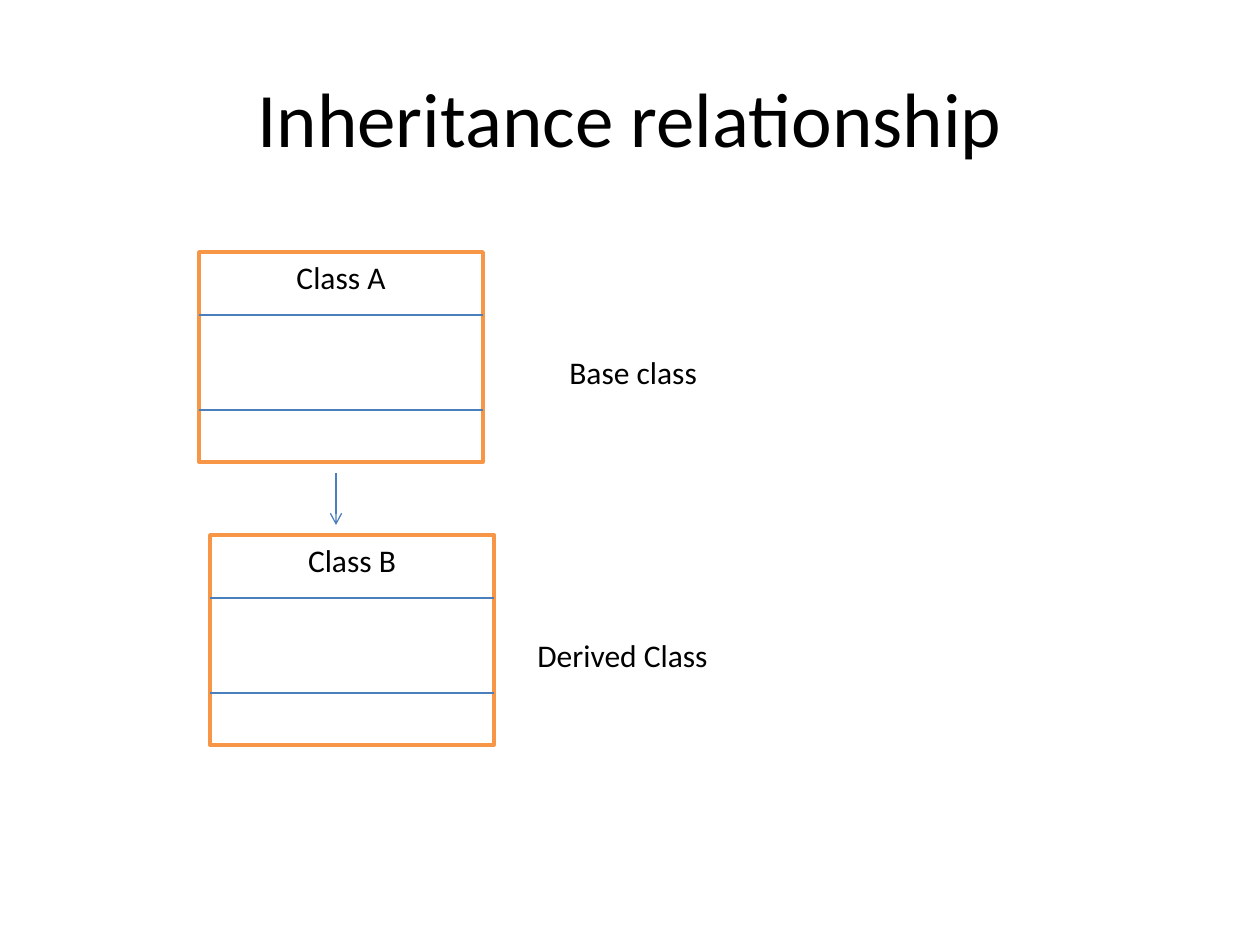
"""Builds a slide that shows a base class and a class derived from it."""
import pptx
import pptx.dml.color
import pptx.enum.shapes
import pptx.enum.text
import pptx.oxml
import pptx.oxml.ns
import pptx.util

HUES = {"ink": "000000", "paper": "FFFFFF", "edge": "F79646", "rule": "4B7EBC"}
ALIGN = pptx.enum.text.PP_ALIGN
ANCHOR = pptx.enum.text.MSO_ANCHOR


def px(count):
    """Turn pixels into EMU."""
    return pptx.util.Emu(round(count * 914400 / 126))


def hue(name):
    """Look up a colour by name."""
    return pptx.dml.color.RGBColor.from_string(HUES[name])


def write(shape, text, size=18, align=ALIGN.LEFT, anchor=ANCHOR.TOP, wrap=True):
    """Put formatted text into a shape."""
    frame = shape.text_frame
    frame.word_wrap = wrap
    frame.vertical_anchor = anchor
    para = frame.paragraphs[0]
    para.alignment = align
    run = para.add_run()
    run.text = text
    run.font.name = "Calibri"
    run.font.size = pptx.util.Pt(size)
    run.font.color.rgb = hue("ink")


def draw_line(slide, left, top, right, base, head=False):
    """Draw a thin line, with an open arrowhead at its end if asked."""
    line = slide.shapes.add_connector(
        pptx.enum.shapes.MSO_CONNECTOR.STRAIGHT, px(left), px(top), px(right), px(base))
    line.line.color.rgb = hue("rule")
    line.line.width = pptx.util.Pt(0.75)
    props = line._element.spPr
    pptx.oxml.ns.qn("a:effectLst")
    props.append(props.makeelement(pptx.oxml.ns.qn("a:effectLst"), {}))
    if head:
        edge = line.line._get_or_add_ln()
        edge.append(edge.makeelement(pptx.oxml.ns.qn("a:tailEnd"), {"type": "arrow"}))


def add_title(slide, text, left, top, width, height):
    """Fill and place the title."""
    title = slide.shapes.title
    title.left, title.top = px(left), px(top)
    title.width, title.height = px(width), px(height)
    write(title, text, size=44, align=ALIGN.CENTER, anchor=ANCHOR.MIDDLE)


def add_class(slide, name, left, top, width, height):
    """Draw a class box with its two dividers."""
    box = slide.shapes.add_shape(
        pptx.enum.shapes.MSO_SHAPE.RECTANGLE, px(left), px(top), px(width), px(height))
    box.shadow.inherit = False
    box.fill.solid()
    box.fill.fore_color.rgb = hue("paper")
    box.line.color.rgb = hue("edge")
    box.line.width = pptx.util.Pt(2)
    write(box, name, align=ALIGN.CENTER)
    for drop in (63, 158):
        draw_line(slide, left, top + drop, left + width, top + drop)


def add_label(slide, text, left, top, width, height):
    """Place a label beside a class box."""
    label = slide.shapes.add_textbox(px(left), px(top), px(width), px(height))
    write(label, text, wrap=False)
    label.text_frame.auto_size = pptx.enum.text.MSO_AUTO_SIZE.SHAPE_TO_FIT_TEXT


def main():
    """Build and save the slide."""
    deck = pptx.Presentation()
    deck.slide_width, deck.slide_height = px(1260), px(945)
    slide = deck.slides.add_slide(deck.slide_layouts[5])
    add_title(slide, "Inheritance relationship", 63, 38, 1134, 158)
    add_class(slide, "Class A", 199, 252, 284, 210)
    add_class(slide, "Class B", 210, 535, 284, 210)
    draw_line(slide, 336, 473, 336, 525, head=True)
    add_label(slide, "Base class", 557, 347, 154, 50)
    add_label(slide, "Derived Class", 525, 630, 198, 50)
    deck.save("out.pptx")


if __name__ == "__main__":
    main()
